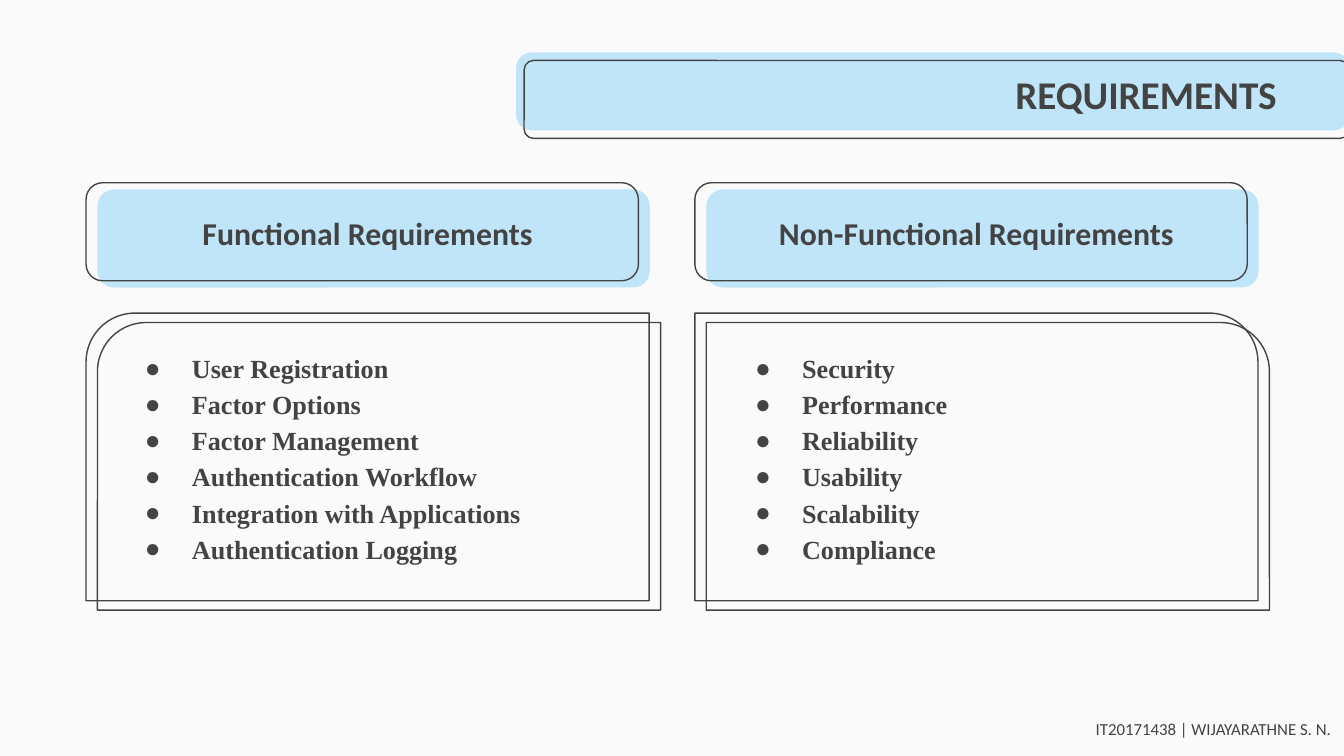
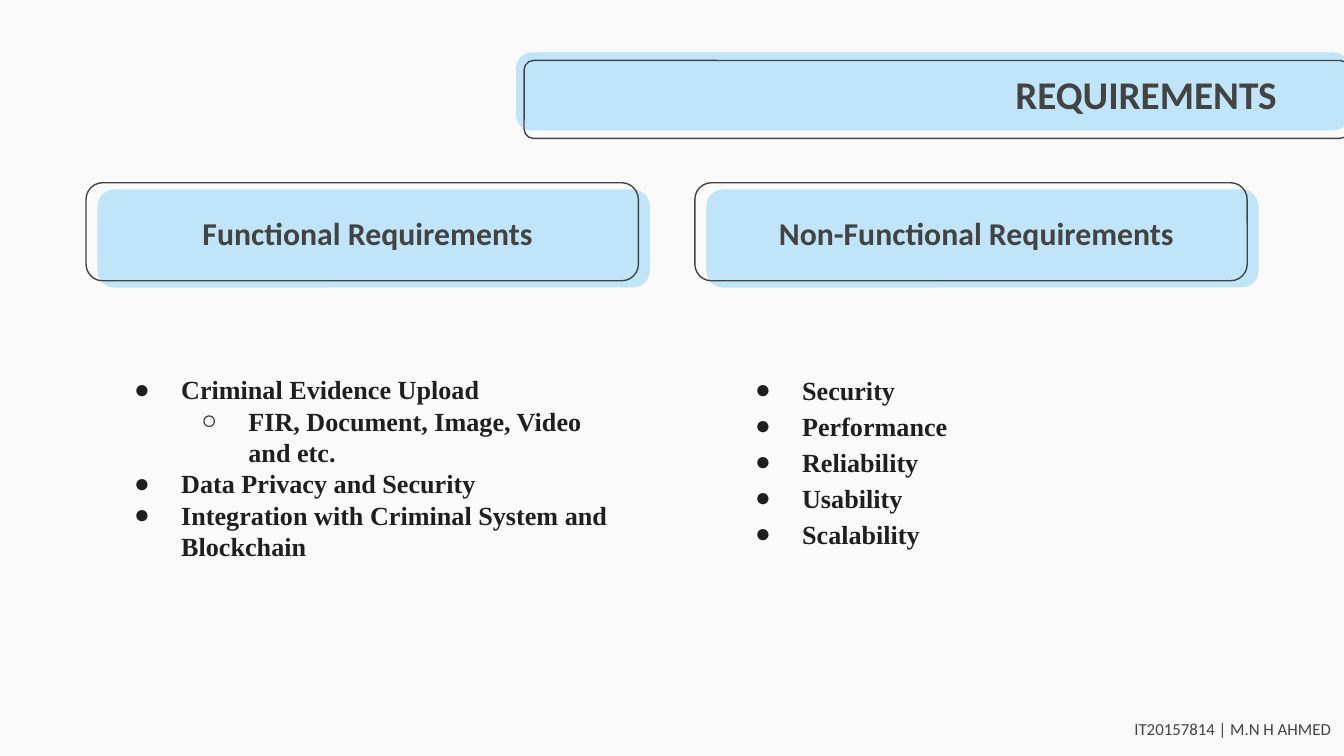
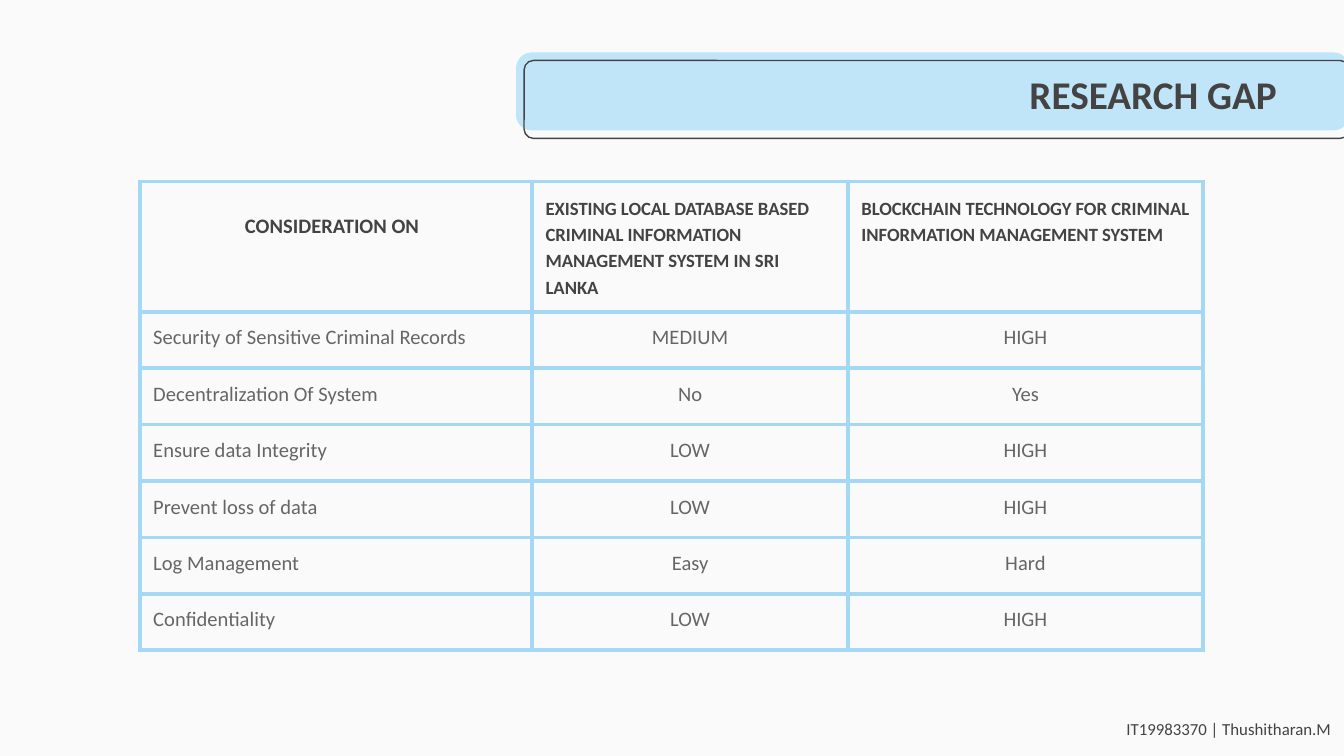
from typing import NamedTuple

from pptx import Presentation
from pptx.dml.color import RGBColor
from pptx.enum.shapes import MSO_SHAPE
from pptx.enum.text import MSO_ANCHOR, MSO_AUTO_SIZE, PP_ALIGN
from pptx.oxml.ns import qn
from pptx.util import Inches, Pt
from lxml.etree import SubElement

# Shared style
BACKGROUND, BAND, INK = "FAFAFA", "C1E5F8", "434343"
DARK, GREY, GRID = "1F1F1F", "666666", "A4D8F4"
SANS, SERIF = "Calibri", "Times New Roman"
LEFT, CENTER, RIGHT = PP_ALIGN.LEFT, PP_ALIGN.CENTER, PP_ALIGN.RIGHT
ROUND, ONE_CORNER = MSO_SHAPE.ROUNDED_RECTANGLE, MSO_SHAPE.ROUND_1_RECTANGLE
MARGIN = Inches(0.1)


class Box(NamedTuple):
    left: float
    top: float
    width: float
    height: float

    def moved(self, dx: float, dy: float = 0) -> "Box":
        return self._replace(left=self.left + dx, top=self.top + dy)

    def lengths(self) -> list:
        return [Inches(v) for v in self]


class Item(NamedTuple):
    text: str
    level: int = 0


class BulletList(NamedTuple):
    box: Box
    items: list[Item]
    color: str
    spacing: float = 1.15


COLUMN_STEP = 4.53
COLUMN_HEADS = ("Functional Requirements", "Non-Functional Requirements")
HEAD_FRAME = Box(0.64, 1.36, 4.11, 0.73)
HEAD_TEXT = Box(0.59, 1.49, 4.29, 0.53)
PANEL = Box(0.64, 2.33, 4.19, 2.14)


def rgb(color: str) -> RGBColor:
    return RGBColor.from_string(color)


def add_text(p, text: str, *, size: float, color: str = INK, font: str = SANS,
             bold: bool = False, align=LEFT, spacing: float = 1.0) -> None:
    p.alignment = align
    p.line_spacing = spacing
    r = p.add_run()
    r.text = text
    r.font.name, r.font.size, r.font.bold = font, Pt(size), bold
    r.font.color.rgb = rgb(color)


def add_frame(slide, box: Box, grow: bool = False):
    tf = slide.shapes.add_textbox(*box.lengths()).text_frame
    tf.word_wrap = True
    tf.margin_left = tf.margin_right = tf.margin_top = tf.margin_bottom = MARGIN
    tf.vertical_anchor = MSO_ANCHOR.TOP
    tf.auto_size = MSO_AUTO_SIZE.SHAPE_TO_FIT_TEXT if grow else MSO_AUTO_SIZE.NONE
    return tf


def add_label(slide, box: Box, text: str, grow: bool = False, **style) -> None:
    add_text(add_frame(slide, box, grow).paragraphs[0], text, **style)


def add_panel(slide, kind, box: Box, corner: float, fill: str = "",
              flip: bool = False) -> None:
    """Draw a filled panel, or an outlined one when no fill is given."""
    sp = slide.shapes.add_shape(kind, *box.lengths())
    sp.shadow.inherit = False
    sp.adjustments[0] = corner
    if fill:
        sp.fill.solid()
        sp.fill.fore_color.rgb = rgb(fill)
        sp.line.fill.background()
    else:
        sp.fill.background()
        sp.line.color.rgb = rgb(INK)
        sp.line.width = Pt(0.75)
    if flip:
        sp._element.spPr.find(qn("a:xfrm")).set("flipH", "1")


def add_bullet(p, level: int, color: str) -> None:
    pPr = p._p.get_or_add_pPr()
    pPr.set("marL", str(Inches(0.5 * (level + 1))))
    pPr.set("indent", str(Inches(-0.35)))
    SubElement(SubElement(pPr, qn("a:buClr")), qn("a:srgbClr"), val=color)
    SubElement(pPr, qn("a:buFont"), typeface=SERIF)
    SubElement(pPr, qn("a:buChar"), char="●○"[level])


def add_list(slide, bullets: BulletList) -> None:
    tf = add_frame(slide, bullets.box, grow=True)
    for i, item in enumerate(bullets.items):
        p = tf.add_paragraph() if i else tf.paragraphs[0]
        p.level = item.level
        add_bullet(p, item.level, bullets.color)
        add_text(p, item.text, size=14, font=SERIF, color=bullets.color,
                 bold=True, spacing=bullets.spacing)


def add_base_slide(prs, title: str, author: str):
    """Background, title band and author footer."""
    slide = prs.slides.add_slide(prs.slide_layouts[6])
    slide.background.fill.solid()
    slide.background.fill.fore_color.rgb = rgb(BACKGROUND)
    add_panel(slide, ROUND, Box(3.84, 0.39, 6.2, 0.58), 0.2, BAND)
    add_panel(slide, ROUND, Box(3.9, 0.45, 6.14, 0.58), 0.12)
    add_label(slide, Box(4.04, 0.42, 5.56, 0.53), title,
              size=21, bold=True, align=RIGHT)
    add_label(slide, Box(6.72, 5.27, 3.28, 0.35), author, grow=True,
              size=9, align=RIGHT)
    return slide


def add_requirements(prs, author: str, lists: list[BulletList],
                     panels: bool = False) -> None:
    slide = add_base_slide(prs, "REQUIREMENTS", author)
    for i, (head, bullets) in enumerate(zip(COLUMN_HEADS, lists)):
        dx = i * COLUMN_STEP
        frame = HEAD_FRAME.moved(dx)
        add_panel(slide, ROUND, frame.moved(0.085, 0.05), 0.17, BAND)
        add_panel(slide, ROUND, frame, 0.17)
        add_label(slide, HEAD_TEXT.moved(dx), head,
                  size=17, bold=True, align=CENTER)
        if panels:
            for shift in (0, 1):
                box = PANEL.moved(dx + shift * 0.085, shift * 0.07)
                add_panel(slide, ONE_CORNER, box, 0.17, flip=i == 0)
        add_list(slide, bullets)


def style_cell(cell) -> None:
    cell.margin_left = cell.margin_right = MARGIN
    cell.margin_top = cell.margin_bottom = MARGIN
    tcPr = cell._tc.get_or_add_tcPr()
    for side in ("lnL", "lnR", "lnT", "lnB"):
        ln = SubElement(tcPr, qn(f"a:{side}"), w=str(Pt(2.25)))
        SubElement(SubElement(ln, qn("a:solidFill")), qn("a:srgbClr"), val=GRID)
    cell.fill.background()


def add_comparison(slide, heads: list[str], rows: list[tuple]) -> None:
    widths, heights = (2.92, 2.35, 2.64), [0.97] + [0.42] * len(rows)
    box = Box(1.04, 1.35, sum(widths), sum(heights))
    table = slide.shapes.add_table(len(heights), len(widths), *box.lengths()).table
    table.first_row = table.horz_banding = False
    for col, width in zip(table.columns, widths):
        col.width = Inches(width)
    for row, height in zip(table.rows, heights):
        row.height = Inches(height)
    for r, values in enumerate([heads, *rows]):
        for c, value in enumerate(values):
            cell = table.cell(r, c)
            style_cell(cell)
            p = cell.text_frame.paragraphs[0]
            if r:
                add_text(p, value, size=11, color=GREY, align=CENTER if c else LEFT)
            else:
                add_text(p, value, size=10 if c else 11, bold=True, spacing=1.15,
                         align=LEFT if c else CENTER)
    # A larger trailing space sets the line height of the first heading
    add_text(table.cell(0, 0).text_frame.paragraphs[0], " ", size=18, bold=True,
             spacing=1.15, align=CENTER)


def main() -> None:
    prs = Presentation()
    prs.slide_width, prs.slide_height = Inches(10), Inches(5.625)
    qualities = [Item(t) for t in ("Security", "Performance", "Reliability",
                                   "Usability", "Scalability")]

    # Slide 1: authentication requirements
    functions = [Item(t) for t in (
        "User Registration", "Factor Options", "Factor Management",
        "Authentication Workflow", "Integration with Applications",
        "Authentication Logging")]
    add_requirements(prs, "IT20171438 | WIJAYARATHNE S. N.", [
        BulletList(Box(0.83, 2.49, 3.8, 1.79), functions, INK),
        BulletList(Box(5.37, 2.49, 3.8, 1.98),
                   qualities + [Item("Compliance")], INK),
    ], panels=True)

    # Slide 2: evidence requirements
    evidence = [Item("Criminal Evidence Upload"),
                Item("FIR, Document, Image, Video and etc.", 1),
                Item("Data Privacy and Security"),
                Item("Integration with Criminal System and Blockchain")]
    add_requirements(prs, "IT20157814 | M.N H AHMED", [
        BulletList(Box(0.75, 2.68, 3.96, 1.62), evidence, DARK, 1.0),
        BulletList(Box(5.37, 2.65, 3.8, 1.67), qualities, DARK),
    ])

    # Slide 3: research gap
    slide = add_base_slide(prs, "RESEARCH GAP", "IT19983370 | Thushitharan.M")
    add_comparison(slide, [
        "CONSIDERATION ON",
        "EXISTING LOCAL DATABASE BASED CRIMINAL INFORMATION "
        "MANAGEMENT SYSTEM IN SRI LANKA",
        "BLOCKCHAIN TECHNOLOGY FOR CRIMINAL INFORMATION MANAGEMENT SYSTEM",
    ], [
        ("Security of Sensitive Criminal Records", "MEDIUM", "HIGH"),
        ("Decentralization Of System", "No", "Yes"),
        ("Ensure data Integrity", "LOW", "HIGH"),
        ("Prevent loss of data", "LOW", "HIGH"),
        ("Log Management", "Easy", "Hard"),
        ("Confidentiality", "LOW", "HIGH"),
    ])
    prs.save("out.pptx")


if __name__ == "__main__":
    main()
